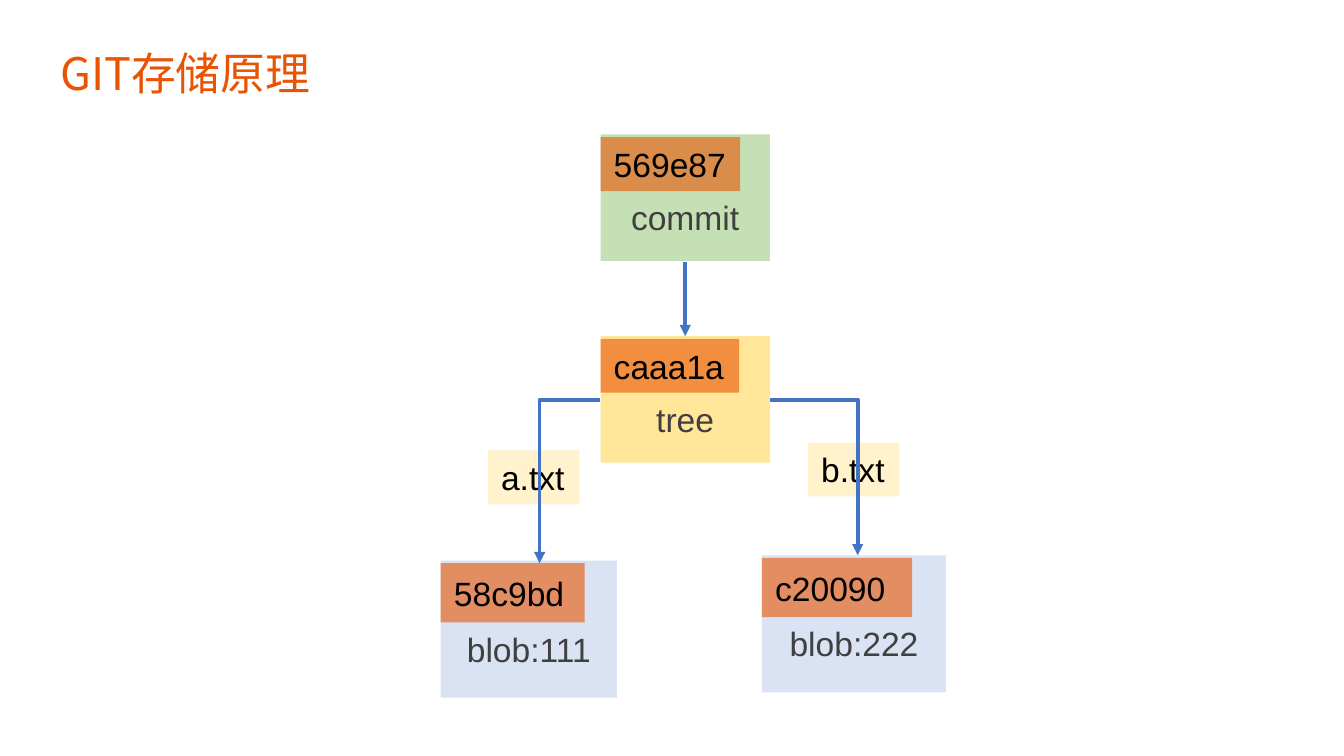
from lxml import etree
from pptx import Presentation
from pptx.dml.color import RGBColor
from pptx.enum import shapes, text
from pptx.oxml.ns import qn
from pptx.util import Cm, Pt

ORANGE = RGBColor(0xE9, 0x54, 0x04)
GREEN = RGBColor(0xC5, 0xE0, 0xB4)
YELLOW = RGBColor(0xFF, 0xE6, 0x99)
CREAM = RGBColor(0xFF, 0xF2, 0xCC)
PALE_BLUE = RGBColor(0xDA, 0xE3, 0xF3)
BLUE = RGBColor(0x44, 0x72, 0xC4)
GREY = RGBColor(0x40, 0x40, 0x40)
BLACK = RGBColor(0, 0, 0)

TITLE_FONT = "Noto Sans CJK SC"
CHIP_HEIGHT = 1.02
CHIP_OFFSET = 0.05
LINE_HEIGHT = 0.73

# kind, hash, left, top, width, height, hash width, hash height, fill
GIT_OBJECTS = [
    ("blob:111", "58c9bd", 8.33, 10.59, 3.33, 2.59, 2.72, 1.12, PALE_BLUE),
    ("blob:222", "c20090", 14.4, 10.49, 3.48, 2.59, 2.84, 1.12, PALE_BLUE),
    ("tree", "caaa1a", 11.35, 6.35, 3.2, 2.39, 2.62, CHIP_HEIGHT, YELLOW),
    ("commit", "569e87", 11.35, 2.54, 3.2, 2.39, 2.64, CHIP_HEIGHT, GREEN),
]
FILE_NAMES = [("a.txt", 9.22, 8.51), ("b.txt", 15.27, 8.36)]


def add_box(slide, words, left, top, width, height, fill, color=BLACK):
    shape = slide.shapes.add_shape(
        shapes.MSO_SHAPE.RECTANGLE, Cm(left), Cm(top), Cm(width), Cm(height))
    shape.shadow.inherit = False
    shape.fill.solid()
    shape.fill.fore_color.rgb = fill
    shape.line.fill.background()
    frame = shape.text_frame
    frame.word_wrap = True
    frame.vertical_anchor = text.MSO_ANCHOR.MIDDLE
    paragraph = frame.paragraphs[0]
    paragraph.text = words
    paragraph.alignment = text.PP_ALIGN.LEFT
    paragraph.font.name = "Arial"
    paragraph.font.size = Pt(18)
    paragraph.font.color.rgb = color
    return shape


def add_chip(slide, words, left, top, width, height, fill):
    """Add a left-aligned label that fits tightly round its text."""
    chip = add_box(slide, words, left, top, width, height, fill)
    chip.text_frame.margin_right = 0
    return chip


def set_opacity(shape, percent):
    color = shape.fill._xPr.find(qn("a:solidFill"))[0]
    etree.SubElement(color, qn("a:alpha"), val=str(percent * 1000))


def add_git_object(slide, kind, digest, left, top, width, height,
                   digest_width, digest_height, fill):
    """Add a block naming the object kind, with its hash in the corner."""
    block = add_box(slide, kind, left, top, width, height, fill, GREY)
    block.text_frame.margin_top = Cm(0.13 + LINE_HEIGHT)
    block.text_frame.paragraphs[0].alignment = text.PP_ALIGN.CENTER
    chip = add_chip(slide, digest, left, top + CHIP_OFFSET,
                    digest_width, digest_height, ORANGE)
    set_opacity(chip, 60)


def add_arrow(slide, start, end):
    """Add an arrow that is straight, or turns once if the ends differ in x."""
    bent = start[0] != end[0]
    kind = shapes.MSO_CONNECTOR.ELBOW if bent else shapes.MSO_CONNECTOR.STRAIGHT
    connector = slide.shapes.add_connector(
        kind, *(Cm(value) for value in start + end))
    connector.line.color.rgb = BLUE
    connector.line.width = Pt(2)
    properties = connector._element.spPr
    if bent:
        properties.find(qn("a:prstGeom")).set("prst", "bentConnector2")
    line = properties.find(qn("a:ln"))
    etree.SubElement(line, qn("a:tailEnd"), type="triangle")
    etree.SubElement(properties, qn("a:effectLst"))


def add_title(slide, words):
    box = slide.shapes.add_textbox(Cm(0.89), Cm(0.74), Cm(5.31), Cm(1.27))
    box.text_frame.word_wrap = True
    paragraph = box.text_frame.paragraphs[0]
    run = paragraph.add_run()
    run.text = words
    run.font.name = TITLE_FONT
    run.font.size = Pt(24)
    run.font.color.rgb = ORANGE
    etree.SubElement(run.font._element, qn("a:ea"), typeface=TITLE_FONT)


def main():
    presentation = Presentation()
    presentation.slide_width = Cm(25.4)
    presentation.slide_height = Cm(14.28)
    slide = presentation.slides.add_slide(presentation.slide_layouts[6])
    for git_object in GIT_OBJECTS:
        add_git_object(slide, *git_object)
    add_arrow(slide, (12.95, 4.95), (12.95, 6.35))
    for name, left, top in FILE_NAMES:
        add_chip(slide, name, left, top, 1.73, CHIP_HEIGHT, CREAM)
    add_arrow(slide, (11.35, 7.55), (10.2, 10.64))
    add_arrow(slide, (14.55, 7.55), (16.21, 10.49))
    add_title(slide, "GIT存储原理")
    presentation.save("out.pptx")


if __name__ == "__main__":
    main()
